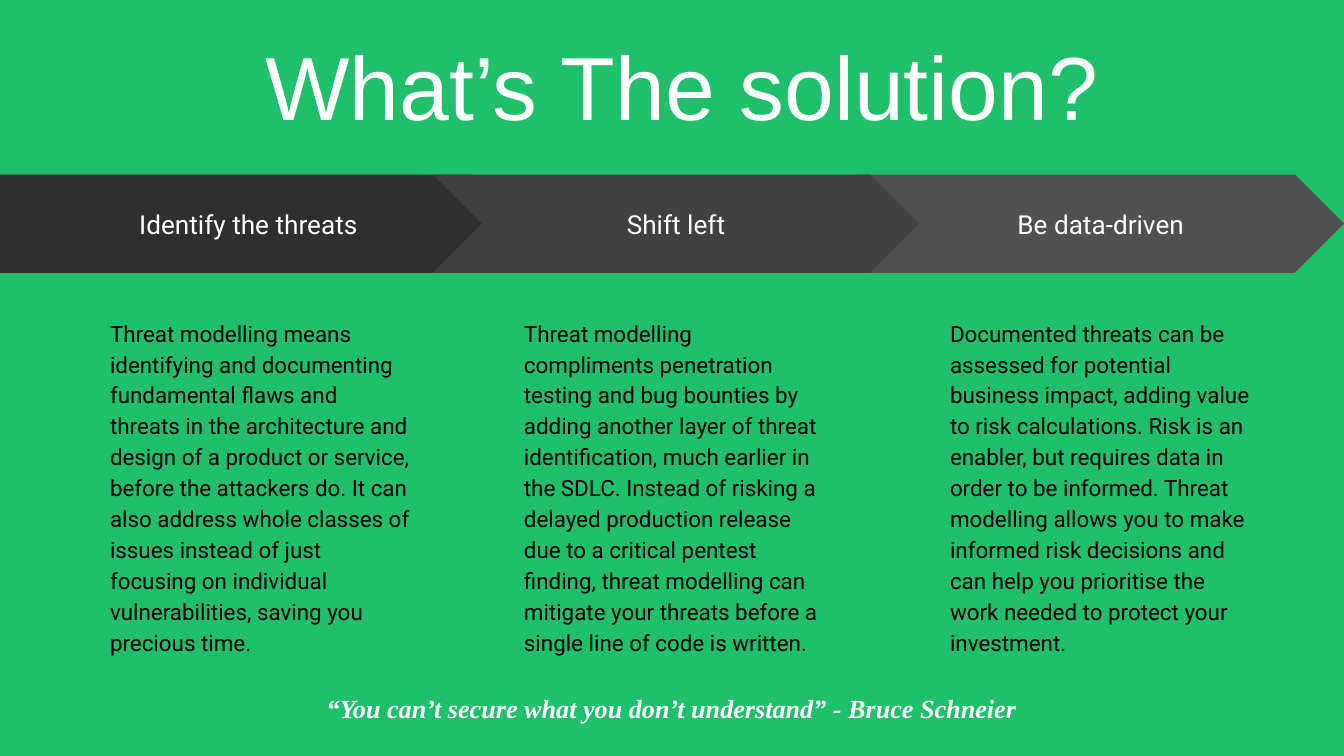
"""Build the three-step threat modelling solution slide."""
from pptx import Presentation
from pptx.dml.color import RGBColor
from pptx.enum.shapes import MSO_SHAPE
from pptx.enum.text import MSO_ANCHOR, PP_ALIGN
from pptx.util import Inches, Pt

WIDTH = 10
HEIGHT = WIDTH * 9 / 16
COLORS = {
    "green": "20BF6B", "white": "FFFFFF", "black": "000000",
    "dark": "2F2F2F", "middle": "414141", "light": "505050",
}
TITLE = "What’s The solution?"
QUOTE = "“You can’t secure what you don’t understand” - Bruce Schneier"
STEPS = [
    {"heading": "Be data-driven", "shape": MSO_SHAPE.CHEVRON, "color": "light",
     "left": 6.38, "width": 3.62, "body_left": 6.97,
     "body": "Documented threats can be assessed for potential business impact, "
             "adding value to risk calculations. Risk is an enabler, but requires "
             "data in order to be informed. Threat modelling allows you to make "
             "informed risk decisions and can help you prioritise the work needed "
             "to protect your investment."},
    {"heading": "Identify the threats", "shape": MSO_SHAPE.PENTAGON, "color": "dark",
     "left": 0, "width": 3.88, "body_left": 0.72,
     "body": "Threat modelling means identifying and documenting fundamental flaws "
             "and threats in the architecture and design of a product or service, "
             "before the attackers do. It can also address whole classes of issues "
             "instead of just focusing on individual vulnerabilities, saving you "
             "precious time."},
    {"heading": "Shift left", "shape": MSO_SHAPE.CHEVRON, "color": "middle",
     "left": 3.22, "width": 3.62, "body_left": 3.8,
     "body": "Threat modelling compliments penetration testing and bug bounties by "
             "adding another layer of threat identification, much earlier in the "
             "SDLC. Instead of risking a delayed production release due to a "
             "critical pentest finding, threat modelling can mitigate your threats "
             "before a single line of code is written."},
]
ARROW_TOP, ARROW_HEIGHT = 1.3, 0.73
BODY_TOP, BODY_WIDTH, BODY_HEIGHT = 2.25, 2.45, 2.86


def rgb(name):
    return RGBColor.from_string(COLORS[name])


def write(box, text, font, size, color="white", align=PP_ALIGN.CENTER,
          anchor=MSO_ANCHOR.TOP, spacing=None, emphasis=None):
    frame = box.text_frame
    frame.word_wrap = True
    frame.vertical_anchor = anchor
    frame.margin_left = frame.margin_right = Inches(0.1)
    frame.margin_top = frame.margin_bottom = Inches(0.1)
    para = frame.paragraphs[0]
    para.alignment = align
    para.line_spacing = spacing
    span = para.add_run()
    span.text = text
    span.font.name = font
    span.font.size = Pt(size)
    span.font.bold = span.font.italic = emphasis
    span.font.color.rgb = rgb(color)


def add_text(shapes, area, text, font, size, **style):
    box = shapes.add_textbox(*map(Inches, area))
    write(box, text, font, size, **style)


def add_step(page, step):
    group = page.shapes.add_group_shape()
    area = (step["left"], ARROW_TOP, step["width"], ARROW_HEIGHT)
    arrow = group.shapes.add_shape(step["shape"], *map(Inches, area))
    arrow.adjustments[0] = 0.5
    arrow.shadow.inherit = False
    arrow.fill.solid()
    arrow.fill.fore_color.rgb = rgb(step["color"])
    arrow.line.fill.background()
    write(arrow, step["heading"], "Roboto", 14, anchor=MSO_ANCHOR.MIDDLE)
    add_text(group.shapes, (step["body_left"], BODY_TOP, BODY_WIDTH, BODY_HEIGHT),
             step["body"], "Roboto", 12, color="black",
             align=PP_ALIGN.LEFT, spacing=1.15)


def main():
    deck = Presentation()
    deck.slide_width, deck.slide_height = Inches(WIDTH), Inches(HEIGHT)
    page = deck.slides.add_slide(deck.slide_layouts[6])
    page.background.fill.solid()
    page.background.fill.fore_color.rgb = rgb("green")
    add_text(page.shapes, (0.56, 0.13, 9.03, 0.94), TITLE, "Arial", 48)
    add_text(page.shapes, (0.43, 5.05, 9.14, 0.48), QUOTE, "Times New Roman", 14,
             emphasis=True)
    for step in STEPS:
        add_step(page, step)
    deck.save("out.pptx")


if __name__ == "__main__":
    main()
